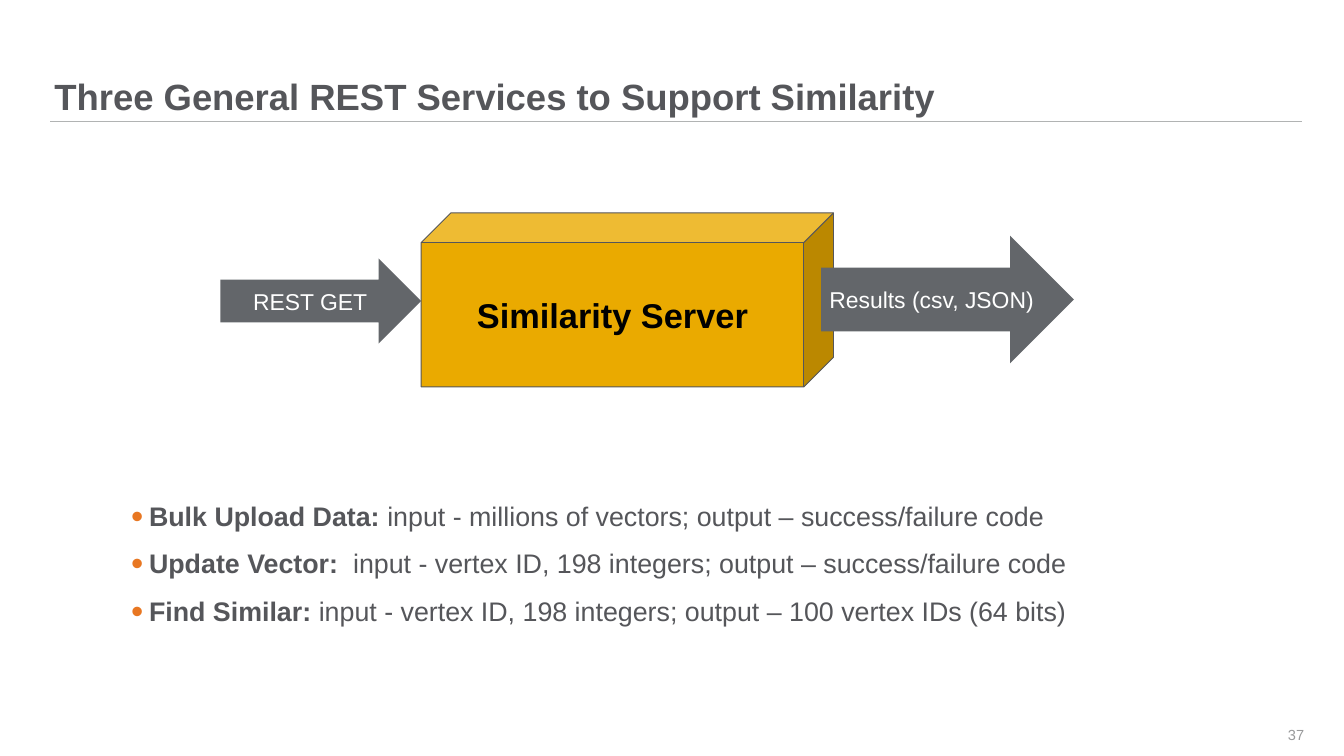
from lxml import etree
from pptx import Presentation
from pptx import util as u
from pptx.dml.color import RGBColor
from pptx.enum import shapes, text
from pptx.oxml import ns

WHITE = RGBColor(0xFF, 0xFF, 0xFF)
BLACK = RGBColor(0, 0, 0)
INK = RGBColor(0x55, 0x56, 0x5A)
ARROW_GRAY = RGBColor(0x63, 0x66, 0x6A)
RULE_GRAY = RGBColor(0xB1, 0xB3, 0xB3)
NUMBER_GRAY = RGBColor(0x99, 0x9A, 0x9B)
GOLD = RGBColor(0xEA, 0xAA, 0x00)
ORANGE = RGBColor(0xE8, 0x77, 0x22)

SERVICES = [
    ("Bulk Upload Data: ", "input - millions of vectors; output – success/failure code"),
    ("Update Vector:  ", "input - vertex ID, 198 integers; output – success/failure code"),
    ("Find Similar: ", "input - vertex ID, 198 integers; output – 100 vertex IDs (64 bits)"),
]


def add_text(paragraph, words, size, color, bold=False, align=text.PP_ALIGN.LEFT, font="Arial"):
    """Append a formatted run to the paragraph."""
    paragraph.alignment = align
    run = paragraph.add_run()
    run.text = words
    run.font.name = font
    run.font.size = u.Pt(size)
    run.font.bold = bold
    run.font.color.rgb = color


def add_bullet(paragraph, color, indent, percent):
    properties = paragraph._p.get_or_add_pPr()
    properties.set("marL", str(indent))
    properties.set("indent", str(-indent))
    bullet_color = etree.SubElement(properties, ns.qn("a:buClr"))
    etree.SubElement(bullet_color, ns.qn("a:srgbClr"), val=str(color))
    etree.SubElement(properties, ns.qn("a:buSzPct"), val=str(percent * 1000))
    etree.SubElement(properties, ns.qn("a:buFont"), typeface="Arial")
    etree.SubElement(properties, ns.qn("a:buChar"), char="•")


class SlideBuilder:
    def __init__(self, slide):
        self.slide = slide

    def frame(self, shape, box, anchor, margins=(0, 0)):
        """Place the shape and set up its text frame."""
        shape.left, shape.top, shape.width, shape.height = (u.Cm(value) for value in box)
        frame = shape.text_frame
        frame.word_wrap = True
        frame.auto_size = text.MSO_AUTO_SIZE.NONE
        frame.vertical_anchor = anchor
        frame.margin_left = frame.margin_right = u.Cm(margins[0])
        frame.margin_top = frame.margin_bottom = u.Cm(margins[1])
        return frame

    def rule(self, left, right, top):
        line = self.slide.shapes.add_connector(
            shapes.MSO_CONNECTOR.STRAIGHT, u.Cm(left), u.Cm(top), u.Cm(right), u.Cm(top))
        line.line.color.rgb = RULE_GRAY
        line.line.width = u.Pt(1)
        etree.SubElement(line._element.spPr, ns.qn("a:effectLst"))

    def title(self, words, box):
        frame = self.frame(self.slide.shapes.title, box, text.MSO_ANCHOR.BOTTOM)
        paragraph = frame.paragraphs[0]
        paragraph.line_spacing = 0.9
        add_text(paragraph, words, 38.2, INK, bold=True)

    def slide_number(self, words, box):
        number = self.slide.shapes.add_textbox(0, 0, 0, 0)
        frame = self.frame(number, box, text.MSO_ANCHOR.MIDDLE)
        add_text(frame.paragraphs[0], words, 15.3, NUMBER_GRAY, align=text.PP_ALIGN.RIGHT)

    def bullets(self, items, box):
        frame = self.frame(self.slide.placeholders[1], box, text.MSO_ANCHOR.TOP)
        for index, (name, detail) in enumerate(items):
            paragraph = frame.add_paragraph() if index else frame.paragraphs[0]
            add_bullet(paragraph, ORANGE, u.Cm(0.66), 130)
            paragraph.line_spacing = 0.95
            paragraph.space_before = u.Pt(10.2 if index else 0)
            paragraph.space_after = u.Pt(7.7)
            add_text(paragraph, name, 28.1, INK, bold=True)
            add_text(paragraph, detail, 28.1, INK)

    def block(self, kind, words, box, fill, size, color, bold=False, outline=None):
        """Add a filled preset shape with a centred label."""
        shape = self.slide.shapes.add_shape(kind, 0, 0, 0, 0)
        shape.shadow.inherit = False
        shape.fill.solid()
        shape.fill.fore_color.rgb = fill
        if outline is None:
            shape.line.fill.background()
        else:
            shape.line.color.rgb = outline
            shape.line.width = u.Pt(1)
        frame = self.frame(shape, box, text.MSO_ANCHOR.MIDDLE, margins=(0.25, 0.13))
        add_text(frame.paragraphs[0], words, size, color, bold, text.PP_ALIGN.CENTER)
        return shape

    def arrow(self, words, box):
        self.block(shapes.MSO_SHAPE.RIGHT_ARROW, words, box, ARROW_GRAY, 24, WHITE)


def main():
    presentation = Presentation()
    presentation.slide_width = u.Cm(49.68)
    presentation.slide_height = u.Cm(27.94)
    builder = SlideBuilder(presentation.slides.add_slide(presentation.slide_layouts[1]))

    builder.rule(1.85, 48.11, 4.5)
    builder.title("Three General REST Services to Support Similarity", (2.01, 0, 46.1, 4.37))
    builder.slide_number("37", (45.72, 26.42, 2.49, 1.5))
    builder.bullets(SERVICES, (4.85, 18.54, 40.87, 6.25))

    server = builder.block(shapes.MSO_SHAPE.CUBE, "Similarity Server", (15.57, 7.87, 15.24, 6.43),
                           GOLD, 36, BLACK, bold=True, outline=INK)
    server.adjustments[0] = 0.17
    builder.arrow("REST GET", (8.15, 9.55, 7.42, 3.15))
    builder.arrow("Results (csv, JSON)", (30.35, 8.71, 9.35, 4.72))

    presentation.save("out.pptx")


if __name__ == "__main__":
    main()
